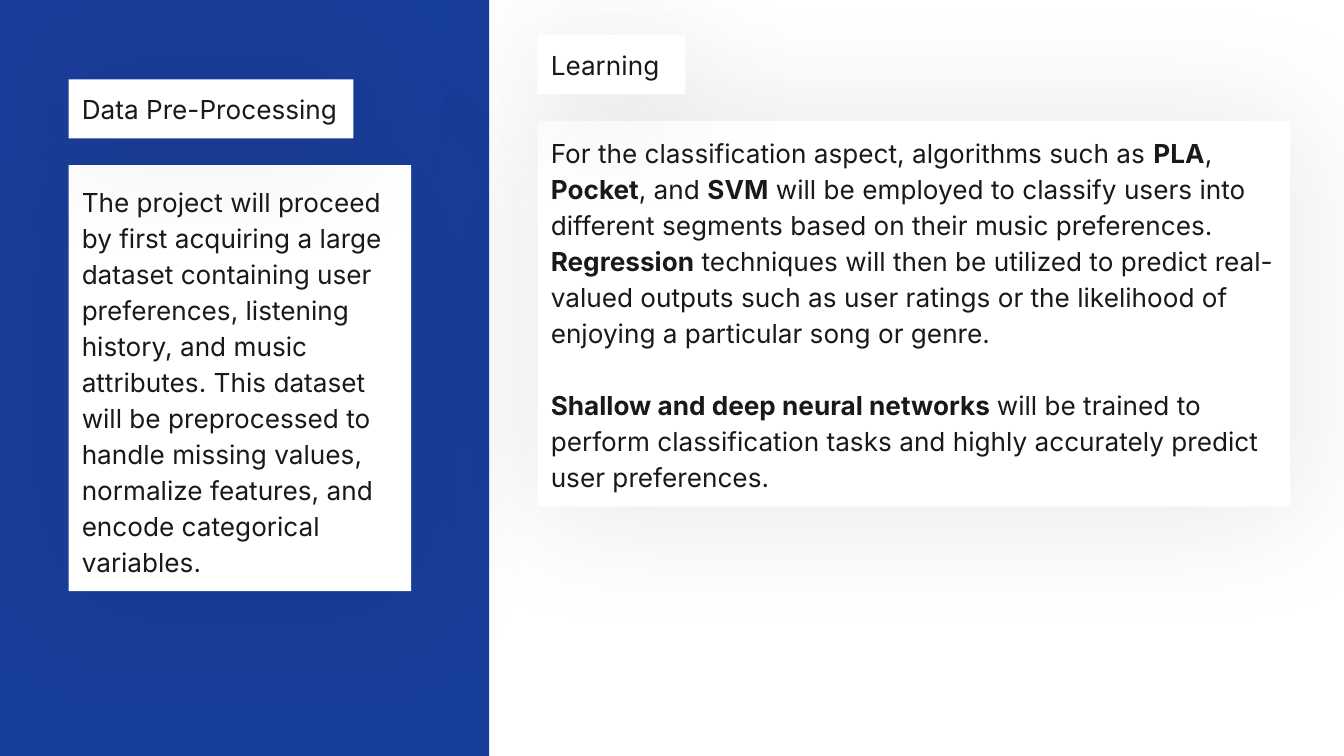
import dataclasses

import pptx
import pptx.dml.color
import pptx.enum.shapes
import pptx.enum.text
import pptx.oxml
import pptx.oxml.ns
import pptx.util
from pptx.util import Inches


@dataclasses.dataclass(frozen=True)
class Theme:
    font: str = "Inter"
    size: float = 14
    line_spacing: float = 1.15
    paragraph_gap: float = 19.3
    ink: str = "191919"
    blue: str = "183E9B"
    white: str = "FFFFFF"


THEME = Theme()
PAGE_WIDTH = 10
PAGE_HEIGHT = PAGE_WIDTH * 9 / 16
INSET = 0.1
HEADING_HEIGHT = 0.44
HEADING_GAP = 0.2

PRE_PROCESSING = [
    [("The project will proceed by first acquiring a large dataset containing user "
      "preferences, listening history, and music attributes. This dataset will be "
      "preprocessed to handle missing values, normalize features, and encode "
      "categorical variables.", False)],
]
LEARNING = [
    [("For the classification aspect, algorithms such as ", False), ("PLA", True),
     (", ", False), ("Pocket", True), (", and ", False), ("SVM", True),
     (" will be employed to classify users into different segments based on their "
      "music preferences.", False)],
    [("Regression", True),
     (" techniques will then be utilized to predict real-valued outputs such as user "
      "ratings or the likelihood of enjoying a particular song or genre.", False)],
    [("Shallow and deep neural networks ", True),
     ("will be trained to perform classification tasks and highly accurately predict "
      "user preferences.", False)],
]


def add_span(para, text, bold=False, size=THEME.size, color=THEME.ink):
    span = para.add_run()
    span.text = text
    span.font.name = THEME.font
    span.font.size = pptx.util.Pt(size)
    span.font.bold = bold
    span.font.color.rgb = pptx.dml.color.RGBColor.from_string(color)


def add_rectangle(page, box, color):
    shape = page.shapes.add_shape(
        pptx.enum.shapes.MSO_SHAPE.RECTANGLE, *(Inches(length) for length in box))
    shape.fill.solid()
    shape.fill.fore_color.rgb = pptx.dml.color.RGBColor.from_string(color)
    shape.line.fill.background()
    shape.shadow.inherit = False
    return shape


def add_soft_shadow(shape):
    effects = shape._element.spPr.find(pptx.oxml.ns.qn("a:effectLst"))
    effects.append(pptx.oxml.parse_xml(
        f'<a:outerShdw {pptx.oxml.ns.nsdecls("a")} blurRad="{pptx.util.Pt(74.2)}" '
        f'dist="{pptx.util.Pt(1.5)}" dir="5400000" algn="bl" rotWithShape="0">'
        f'<a:srgbClr val="{THEME.ink}"><a:alpha val="11000"/></a:srgbClr>'
        '</a:outerShdw>'))


def add_card(page, box, paragraphs, gap_before_last=0):
    """White shadowed card with bottom-anchored text."""
    card = add_rectangle(page, box, THEME.white)
    add_soft_shadow(card)
    frame = card.text_frame
    frame.word_wrap = True
    frame.vertical_anchor = pptx.enum.text.MSO_ANCHOR.BOTTOM
    frame.margin_left = frame.margin_right = Inches(INSET)
    frame.margin_top = frame.margin_bottom = Inches(INSET)
    for index, spans in enumerate(paragraphs):
        para = frame.paragraphs[0] if index == 0 else frame.add_paragraph()
        para.alignment = pptx.enum.text.PP_ALIGN.LEFT
        para.line_spacing = THEME.line_spacing
        for text, bold in spans:
            add_span(para, text, bold=bold)
    if gap_before_last:
        para.space_before = pptx.util.Pt(gap_before_last)


def add_topic(page, box, heading, heading_width, paragraphs, gap_before_last=0):
    """Heading card above a body card, together filling the box."""
    left, top, width, height = box
    offset = HEADING_HEIGHT + HEADING_GAP
    add_card(page, (left, top + offset, width, height - offset), paragraphs,
             gap_before_last)
    add_card(page, (left, top, heading_width, HEADING_HEIGHT), [[(heading, False)]])


def main():
    deck = pptx.Presentation()
    deck.slide_width = Inches(PAGE_WIDTH)
    deck.slide_height = Inches(PAGE_HEIGHT)
    page = deck.slides.add_slide(deck.slide_layouts[6])

    # Blue side panel
    add_rectangle(page, (0, 0, 3.64, PAGE_HEIGHT), THEME.blue)

    # Topics
    add_topic(page, (0.51, 0.59, 2.55, 3.81), "Data Pre-Processing", 2.12,
              PRE_PROCESSING)
    add_topic(page, (4, 0.26, 5.6, 3.51), "Learning", 1.1, LEARNING,
              gap_before_last=THEME.paragraph_gap)

    deck.save("out.pptx")


if __name__ == "__main__":
    main()
